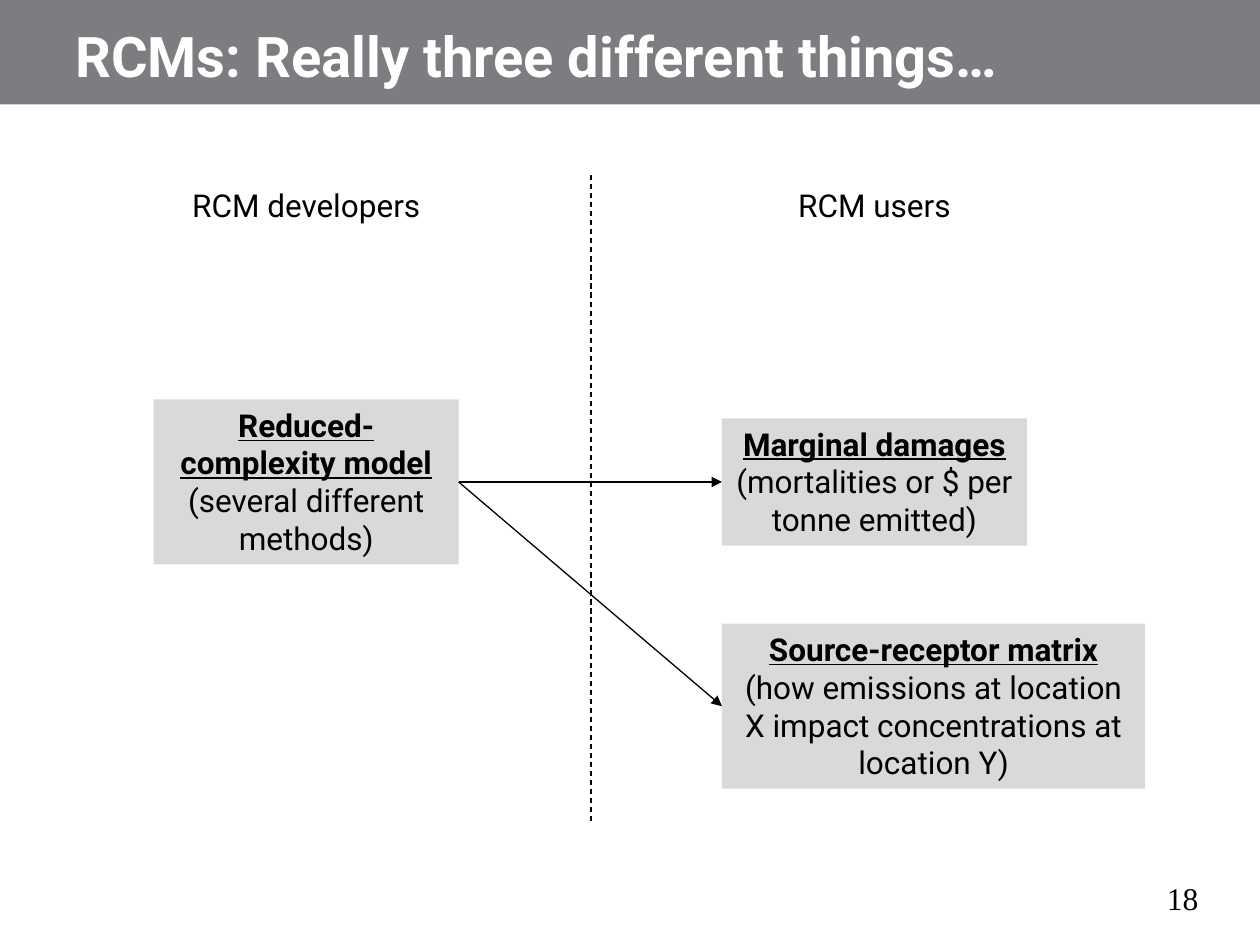
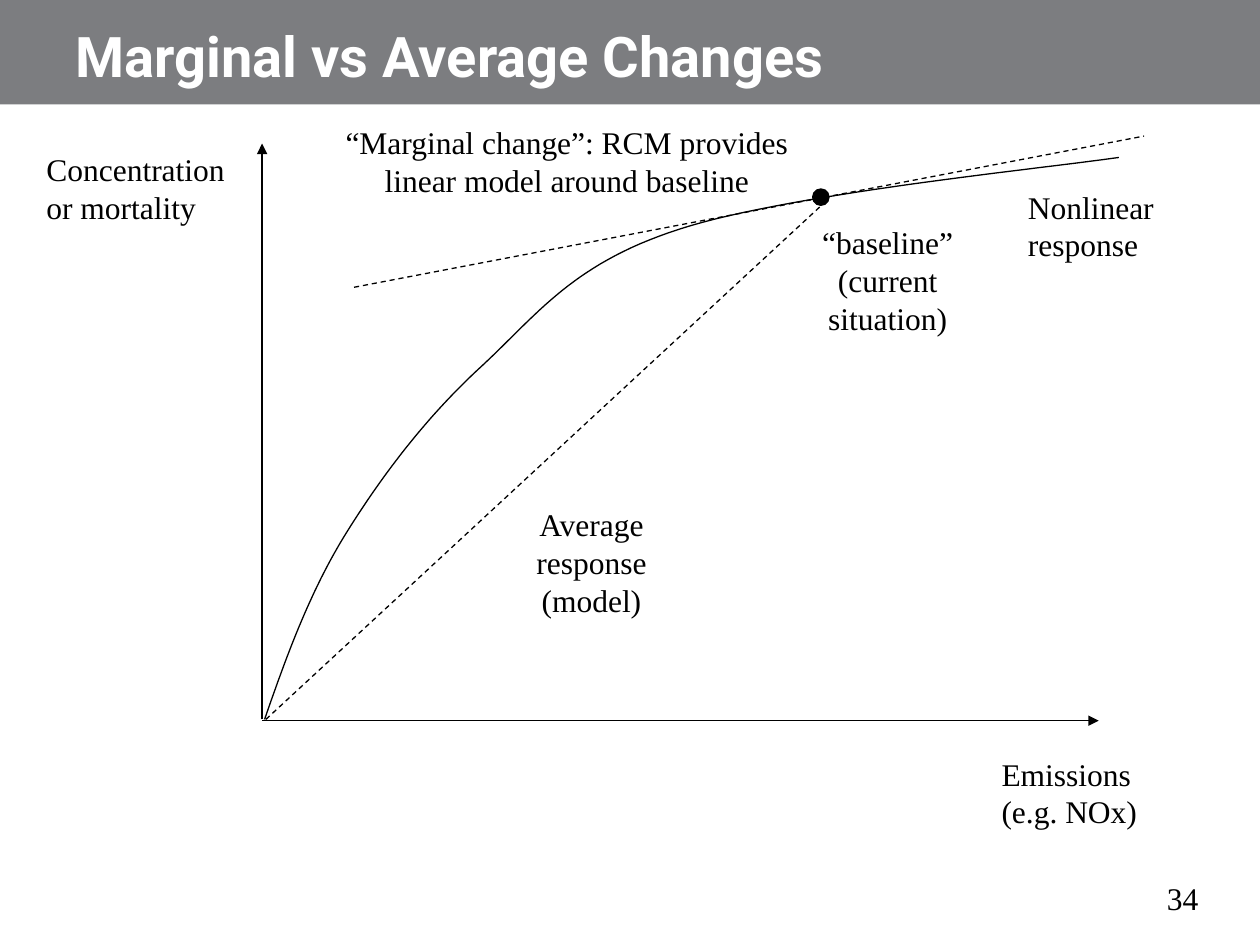
from pptx import Presentation
from pptx.dml.color import RGBColor
from pptx.enum.dml import MSO_LINE
from pptx.enum.shapes import MSO_CONNECTOR, MSO_SHAPE
from pptx.enum.text import MSO_ANCHOR, MSO_AUTO_SIZE, PP_ALIGN
from pptx.oxml.ns import qn
from pptx.util import Inches, Pt
from lxml import etree

BLACK = RGBColor(0x00, 0x00, 0x00)
WHITE = RGBColor(0xFF, 0xFF, 0xFF)
BAND = RGBColor(0x7C, 0x7D, 0x80)
PALE = RGBColor(0xD9, 0xD9, 0xD9)
SANS = "Roboto"
SERIF = "Times New Roman"
LEFT, CENTER, RIGHT = PP_ALIGN.LEFT, PP_ALIGN.CENTER, PP_ALIGN.RIGHT
TOP, BOTTOM = MSO_ANCHOR.TOP, MSO_ANCHOR.BOTTOM
GROW, FIXED = MSO_AUTO_SIZE.SHAPE_TO_FIT_TEXT, MSO_AUTO_SIZE.NONE
RECT, OVAL = MSO_SHAPE.RECTANGLE, MSO_SHAPE.OVAL
STRAIGHT = MSO_CONNECTOR.STRAIGHT
DASH = MSO_LINE.DASH
THIN = Pt(0.75)
STEPS = 30


def bezier(start, ctrl, bend, end, t):
    u = 1 - t
    return tuple(
        u**3 * a + 3 * u * u * t * b + 3 * u * t * t * c + t**3 * d
        for a, b, c, d in zip(start, ctrl, bend, end)
    )


class Deck:
    def __init__(self):
        self.prs = Presentation()
        self.prs.slide_width = Inches(10)
        self.prs.slide_height = Inches(7.5)
        self.slide = None

    def page(self, title, number):
        self.slide = self.prs.slides.add_slide(self.prs.slide_layouts[6])
        self.shape(RECT, (0, 0, 10, 0.83), BAND)
        self.text(number, (8.88, 6.93, 0.73, 0.4), RIGHT)
        head = self.text(title, (0.5, 0.08, 9, 0.67), LEFT, SANS, 32, WHITE, True)
        head.text_frame.auto_size = FIXED
        head.text_frame.vertical_anchor = BOTTOM

    def shape(self, kind, area, fill):
        item = self.slide.shapes.add_shape(kind, *map(Inches, area))
        item.shadow.inherit = False
        item.fill.solid()
        item.fill.fore_color.rgb = fill
        item.line.fill.background()
        return item

    def style(self, item, text, align, font, size, color, bold):
        frame = item.text_frame
        frame.text = text
        frame.word_wrap = True
        frame.auto_size = GROW
        frame.vertical_anchor = TOP
        for par in frame.paragraphs:
            par.alignment = align
            for run in par.runs:
                run.font.name = font
                run.font.size = Pt(size)
                run.font.color.rgb = color
                run.font.bold = bold

    def text(self, text, area, align=LEFT, font=SERIF, size=18, color=BLACK, bold=False):
        item = self.slide.shapes.add_textbox(*map(Inches, area))
        self.style(item, text, align, font, size, color, bold)
        return item

    def card(self, head, body, area):
        item = self.shape(RECT, area, PALE)
        self.style(item, f"{head}\n{body}", CENTER, SANS, 18, BLACK, False)
        font = item.text_frame.paragraphs[0].runs[0].font
        font.bold = font.underline = True
        return item

    def stroke(self, line):
        line.color.rgb = BLACK
        line.width = THIN

    def line(self, start, end, dash=False, arrow=False):
        item = self.slide.shapes.add_connector(STRAIGHT, *map(Inches, start + end))
        self.stroke(item.line)
        if dash:
            item.line.dash_style = DASH
        props = item.element.spPr
        if arrow:
            etree.SubElement(props.find(qn("a:ln")), qn("a:tailEnd"), type="triangle")
        etree.SubElement(props, qn("a:effectLst"))
        return item

    def link(self, source, target):
        item = self.line((0, 0), (1, 1), arrow=True)
        item.begin_connect(source, 3)
        item.end_connect(target, 1)

    def curve(self, start, arcs):
        points = []
        last = start
        for arc in arcs:
            points += [bezier(last, *arc, n / STEPS) for n in range(1, STEPS + 1)]
            last = arc[-1]
        form = self.slide.shapes.build_freeform(*map(Inches, start))
        form.add_line_segments([(Inches(x), Inches(y)) for x, y in points], close=False)
        item = form.convert_to_shape()
        item.shadow.inherit = False
        item.fill.background()
        self.stroke(item.line)

    def dot(self, area):
        self.stroke(self.shape(OVAL, area, BLACK).line)


def models(deck):
    deck.page("RCMs: Really three different things…", "18")
    model = deck.card("Reduced-complexity model", "(several different methods)",
                      (1.22, 3.17, 2.42, 1.31))
    damage = deck.card("Marginal damages", "(mortalities or $ per tonne emitted)",
                       (5.73, 3.32, 2.42, 1.01))
    matrix = deck.card("Source-receptor matrix",
                       "(how emissions at location X impact concentrations at location Y)",
                       (5.73, 4.95, 3.36, 1.31))
    deck.line((4.69, 1.39), (4.69, 6.52), dash=True)
    for group, left in (("RCM developers", 1.19), ("RCM users", 5.7)):
        deck.text(group, (left, 1.43, 2.48, 0.4), CENTER, SANS)
    for target in (damage, matrix):
        deck.link(model, target)


def changes(deck):
    deck.page("Marginal vs Average Changes", "34")
    deck.line((2.08, 5.71), (2.08, 1.14), arrow=True)
    deck.line((2.08, 5.72), (8.72, 5.72), arrow=True)
    deck.curve((2.1, 5.71), [
        ((2.27, 5.22), (2.45, 4.72), (2.73, 4.26)),
        ((3.02, 3.79), (3.38, 3.31), (3.83, 2.9)),
        ((4.27, 2.49), (4.55, 2.09), (5.39, 1.82)),
        ((6.24, 1.54), (8.26, 1.34), (8.88, 1.25)),
    ])
    deck.dot((6.45, 1.5, 0.13, 0.13))
    deck.line((2.81, 2.28), (9.08, 1.08), dash=True)
    deck.line((2.11, 5.71), (6.52, 1.63), dash=True)
    for label, left, top in (
        ("Emissions (e.g. NOx)", 7.85, 5.94),
        ("Concentration or mortality", 0.27, 1.14),
        ("Nonlinear response", 8.06, 1.44),
    ):
        deck.text(label, (left, top, 1.65, 0.71))
    for label, area in (
        ("“baseline” (current situation)", (6.22, 1.72, 1.65, 1.01)),
        ("“Marginal change”: RCM provides linear model around baseline",
         (2.62, 0.93, 3.76, 0.71)),
        ("Average response (model)", (3.83, 3.96, 1.73, 1.01)),
    ):
        deck.text(label, area, CENTER)


def main():
    deck = Deck()
    models(deck)
    changes(deck)
    deck.prs.save("out.pptx")


if __name__ == "__main__":
    main()
